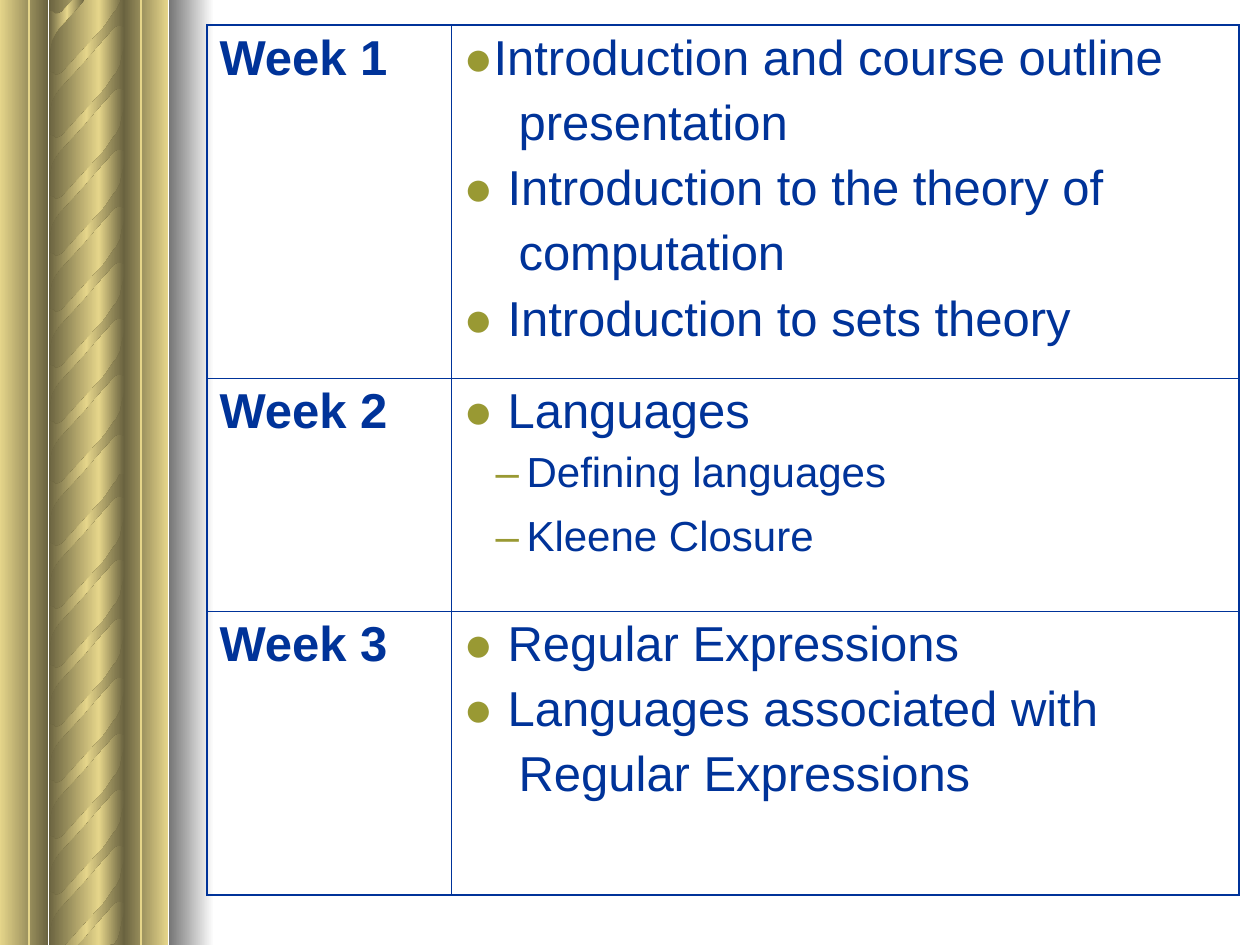
from lxml.etree import SubElement
from pptx import Presentation
from pptx.dml.color import RGBColor as RGB
from pptx.enum.shapes import MSO_CONNECTOR as CONNECTOR, MSO_SHAPE as SHAPE
from pptx.oxml.ns import qn
from pptx.util import Emu, Pt

PX = 914400 / 126
WIDTH, HEIGHT = 1260, 945
COLORS = {"gold": "E5D58A", "bronze": "6A6340", "navy": "003399",
          "olive": "999933", "gray": "767676", "white": "FFFFFF"}
FONT = "Arial"

# One ribbon of the rope, measured from its own top edge
RIBBON = [(124, 11), (124, 43), (122, 42), (117, 42), (115, 43), (111, 47),
          (102, 57), (81, 81), (59, 105), (55, 111), (52, 117), (50, 127),
          (49, 141), (49, 79), (49, 86), (50, 88), (53, 89), (55, 91),
          (58, 91), (62, 89), (105, 42), (113, 30), (117, 25), (120, 19),
          (122, 9), (124, 0), (124, 26)]
ROPE_END = [(124, 925), (124, 945), (48, 946), (114, 945), (118, 939),
            (120, 932), (122, 922), (124, 913), (124, 940)]

# Column halves: top, height and the tops of their ribbons, back to front
HALVES = [(470, 475, [577, 636, 692, 748, 804, 860, 518, 455]),
          (-1, 475, [108, 165, 221, 277, 333, 47, -16, -77, 393])]
SLATS = [(99, 25, ("gold", "bronze")), (0, 48, ("gold", "bronze")),
         (49, 50, ("bronze", "gold")), (124, 44, ("bronze", "gold"))]

# Paragraph kinds: left margin and first-line indent in px, and the rest
TOPIC = {"margin": 44, "indent": -44, "bullet": "●"}
TIGHT_TOPIC = {**TOPIC, "margin": 30, "indent": -30}
WRAPPED = {"margin": 55}
SUBTOPIC = {"margin": 63, "indent": -31, "bullet": "–", "size": 24, "level": 1}
WEEKS = [
    ("Week 1", 353, [("Introduction and course outline", TIGHT_TOPIC),
                     ("presentation", WRAPPED),
                     ("Introduction to the theory of", TOPIC),
                     ("computation", WRAPPED),
                     ("Introduction to sets theory", TOPIC)]),
    ("Week 2", 233, [("Languages", TOPIC),
                     ("Defining languages", SUBTOPIC),
                     ("Kleene Closure", {**SUBTOPIC, "before": 10})]),
    ("Week 3", 284, [("Regular Expressions", TOPIC),
                     ("Languages associated with", TOPIC),
                     ("Regular Expressions", WRAPPED)]),
]


def px(length):
    return Emu(round(length * PX))


def rgb(name):
    return RGB.from_string(COLORS[name])


def add_color(parent, name):
    SubElement(parent, qn("a:srgbClr"), val=COLORS[name])


def shade(shape, *names):
    """Fill a shape with evenly spaced colours from left to right."""
    shape.shadow.inherit = False
    shape.line.fill.background()
    shape.fill.gradient()
    shape.fill.gradient_angle = 0
    stops = next(shape._element.iter(qn("a:gsLst")))
    for stop in list(stops):
        stops.remove(stop)
    for i, name in enumerate(names):
        position = round(100000 * i / (len(names) - 1))
        add_color(SubElement(stops, qn("a:gs"), pos=str(position)), name)


def add_slat(slide, left, top, width, height, names):
    slat = slide.shapes.add_shape(SHAPE.RECTANGLE, px(left), px(top),
                                  px(width), px(height))
    shade(slat, *names)


def clip(points, edge, side):
    """Keep the part of an outline below (side 1) or above (-1) an edge."""
    kept = []
    for (x0, y0), (x1, y1) in zip(points[-1:] + points[:-1], points):
        if (y0 - edge) * (y1 - edge) < 0:
            kept.append((round(x0 + (x1 - x0) * (edge - y0) / (y1 - y0)), edge))
        if side * (y1 - edge) >= 0:
            kept.append((x1, y1))
    return kept


def add_ribbon(slide, points):
    outline = slide.shapes.build_freeform(*points[0], scale=PX)
    outline.add_line_segments(points[1:], close=True)
    shade(outline.convert_to_shape(), "bronze", "gold", "bronze")


def add_groove(slide, x):
    groove = slide.shapes.add_connector(CONNECTOR.STRAIGHT, px(x), 0,
                                        px(x), px(HEIGHT))
    groove.line.color.rgb = rgb("gold")
    groove.line.width = Pt(1)
    SubElement(groove._element.spPr, qn("a:effectLst"))


def add_column(slide):
    for top, height, ribbon_tops in HALVES:
        for left, width, names in SLATS:
            add_slat(slide, left, top, width, height, names)
        for ribbon_top in ribbon_tops:
            ribbon = [(x, y + ribbon_top) for x, y in RIBBON]
            add_ribbon(slide, clip(clip(ribbon, top, 1), HEIGHT + 1, -1))
    add_ribbon(slide, ROPE_END)
    add_slat(slide, 169, 0, 45, HEIGHT, ("gray", "white"))
    for x in (29, 141):
        add_groove(slide, x)


def write(paragraph, text, size=28, bold=False, bullet=None, margin=0,
          indent=0, level=0, before=6):
    props = paragraph._p.get_or_add_pPr()
    props.set("marL", str(px(margin)))
    props.set("indent", str(px(indent)))
    if bullet:
        add_color(SubElement(props, qn("a:buClr")), "olive")
        SubElement(props, qn("a:buFont"), typeface=FONT)
        SubElement(props, qn("a:buChar"), char=bullet)
    else:
        SubElement(props, qn("a:buNone"))
    paragraph.level = level
    paragraph.space_before = Pt(before)
    run = paragraph.add_run()
    run.text = text
    run.font.name, run.font.size, run.font.bold = FONT, Pt(size), bold
    run.font.color.rgb = rgb("navy")


def fill_cell(cell, entries):
    frame = cell.text_frame
    for i, (text, style) in enumerate(entries):
        if i == 0:
            write(frame.paragraphs[0], text, **{**style, "before": 0})
        else:
            write(frame.add_paragraph(), text, **style)


def set_borders(cell, outer):
    """Rule all four sides, thicker on the table's outer edges."""
    props = cell._tc.get_or_add_tcPr()
    for side in "LRTB":
        width = Pt(1.08 if side in outer else 0.45)
        rule = SubElement(props, qn(f"a:ln{side}"), w=str(width))
        add_color(SubElement(rule, qn("a:solidFill")), "navy")
    cell.fill.background()


def add_schedule(slide):
    widths = (244, 788)
    total = sum(height for _, height, _ in WEEKS)
    schedule = slide.shapes.add_table(len(WEEKS), 2, px(207), px(25),
                                      px(sum(widths)), px(total)).table
    schedule.first_row = schedule.horz_banding = False
    for column, width in zip(schedule.columns, widths):
        column.width = px(width)
    for row, (week, height, topics) in enumerate(WEEKS):
        schedule.rows[row].height = px(height)
        ends = "T" * (row == 0) + "B" * (row == len(WEEKS) - 1)
        for col, entries in enumerate(([(week, {"bold": True})], topics)):
            cell = schedule.cell(row, col)
            fill_cell(cell, entries)
            set_borders(cell, ends + "LR"[col])


def main():
    deck = Presentation()
    deck.slide_width, deck.slide_height = px(WIDTH), px(HEIGHT)
    slide = deck.slides.add_slide(deck.slide_layouts[6])
    add_column(slide)
    add_schedule(slide)
    deck.save("out.pptx")


if __name__ == "__main__":
    main()
